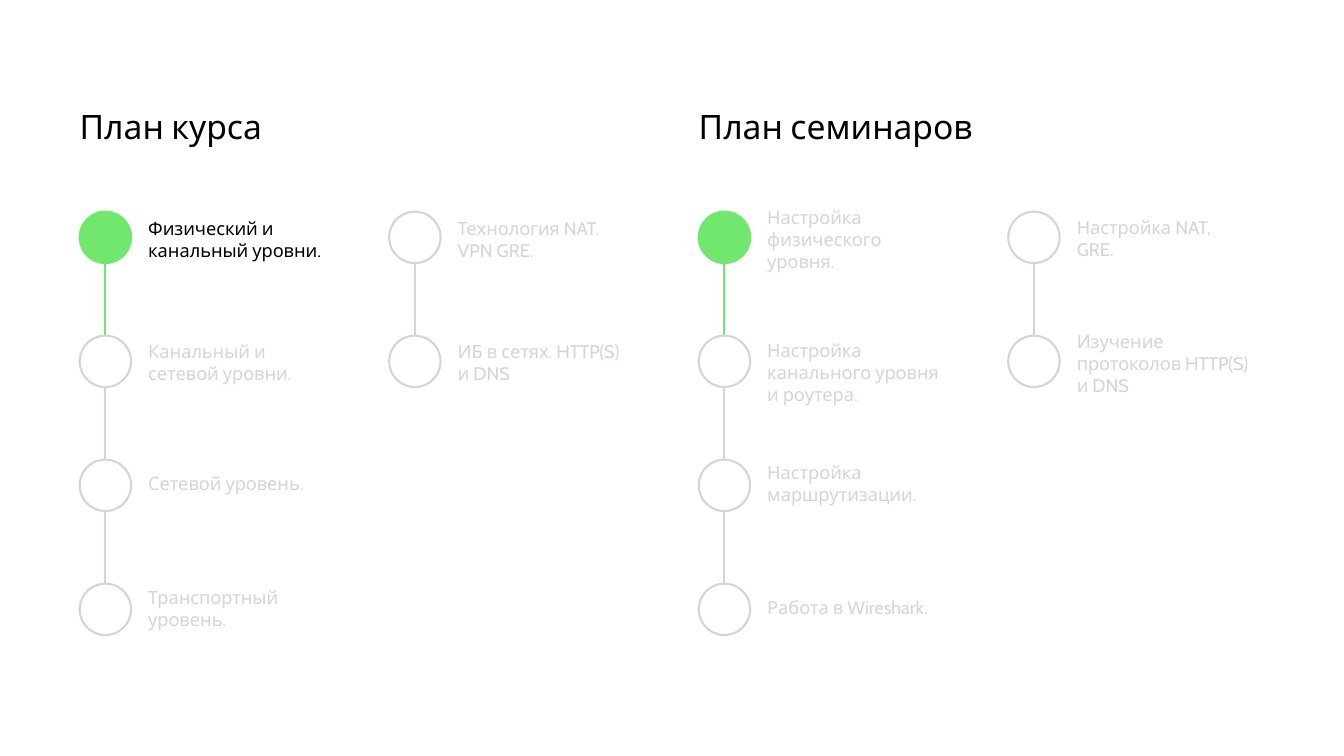
"""Build the course and seminar plan slide."""
from dataclasses import dataclass

from lxml import etree
from pptx import Presentation
from pptx import util as u
from pptx.dml import color
from pptx.enum import shapes, text
from pptx.oxml import ns

FONT = "Cabin"
BLACK, WHITE, GREEN, GREY = "000000", "FFFFFF", "71E76E", "D4D4DD"
LEFT, COLUMN_PITCH = 0.79, 3.07
TOP, ROW_PITCH = 2.1, 1.23
DIAMETER = 0.51
LABEL_OFFSET, LABEL_WIDTH, LABEL_INSET = 0.68, 1.86, 0.13


@dataclass
class Step:
    wording: str
    label_top: float
    label_height: float
    label_color: str = GREY
    current: bool = False


@dataclass
class Heading:
    wording: str
    column: int
    width: float


HEADINGS = [Heading("План курса", 0, 5.23), Heading("План семинаров", 2, 5.79)]

COLUMNS = [
    [
        Step("Физический и канальный уровни.", 2.03, 0.72, BLACK, True),
        Step("Канальный и сетевой уровни.", 3.25, 0.66),
        Step("Сетевой уровень.", 4.56, 0.49),
        Step("Транспортный уровень.", 5.69, 0.49),
    ],
    [
        Step("Технология NAT. VPN GRE.", 2.03, 0.49),
        Step("ИБ в сетях. HTTP(S) и DNS", 3.25, 0.66),
    ],
    [
        Step("Настройка физического уровня.", 1.92, 0.86, GREY, True),
        Step("Настройка канального уровня и роутера.", 3.24, 0.86),
        Step("Настройка маршрутизации.", 4.45, 0.72),
        Step("Работа в Wireshark.", 5.79, 0.49),
    ],
    [
        Step("Настройка NAT, GRE.", 2.02, 0.66),
        Step("Изучение протоколов HTTP(S) и DNS", 3.15, 0.86),
    ],
]


def rgb(value: str) -> color.RGBColor:
    return color.RGBColor.from_string(value)


def column_left(column: int) -> float:
    return LEFT + column * COLUMN_PITCH


def write_text(shape, wording: str, size: float, hex_color: str, inset: float) -> None:
    frame = shape.text_frame
    frame_format = {
        "word_wrap": True,
        "auto_size": text.MSO_AUTO_SIZE.NONE,
        "vertical_anchor": text.MSO_ANCHOR.TOP,
        "margin_left": 0,
        "margin_top": u.Inches(inset),
        "margin_right": u.Inches(inset),
        "margin_bottom": u.Inches(inset),
    }
    for name, value in frame_format.items():
        setattr(frame, name, value)
    paragraph = frame.paragraphs[0]
    paragraph.alignment = text.PP_ALIGN.LEFT
    run = paragraph.add_run()
    run.text = wording
    for name, value in {"name": FONT, "size": u.Pt(size), "bold": False}.items():
        setattr(run.font, name, value)
    run.font.color.rgb = rgb(hex_color)


def draw_heading(slide, heading: Heading) -> None:
    box = {
        "left": u.Inches(column_left(heading.column)),
        "top": u.Inches(1.05),
        "width": u.Inches(heading.width),
        "height": u.Inches(0.47),
    }
    if heading.column == 0:
        shape = slide.shapes.title
        for name, value in box.items():
            setattr(shape, name, value)
    else:
        shape = slide.shapes.add_textbox(*box.values())
    write_text(shape, heading.wording, 24, BLACK, 0)


def draw_link(slide, center: float, top: float, hex_color: str) -> None:
    connector = slide.shapes.add_connector(
        shapes.MSO_CONNECTOR.STRAIGHT,
        u.Inches(center),
        u.Inches(top + DIAMETER),
        u.Inches(center),
        u.Inches(top + ROW_PITCH),
    )
    connector.line.color.rgb = rgb(hex_color)
    connector.line.width = u.Pt(1.5)
    etree.SubElement(connector._element.spPr, ns.qn("a:effectLst"))


def draw_step(slide, step: Step, left: float, top: float) -> None:
    circle = slide.shapes.add_shape(
        shapes.MSO_SHAPE.OVAL,
        u.Inches(left),
        u.Inches(top),
        u.Inches(DIAMETER),
        u.Inches(DIAMETER),
    )
    circle.shadow.inherit = False
    circle.fill.solid()
    circle.fill.fore_color.rgb = rgb(GREEN if step.current else WHITE)
    circle.line.color.rgb = rgb(GREEN if step.current else GREY)
    circle.line.width = u.Pt(1.5)
    label = slide.shapes.add_textbox(
        u.Inches(left + LABEL_OFFSET),
        u.Inches(step.label_top),
        u.Inches(LABEL_WIDTH),
        u.Inches(step.label_height),
    )
    write_text(label, step.wording, 13, step.label_color, LABEL_INSET)


def draw_column(slide, steps: list[Step], left: float) -> None:
    tops = [TOP + row * ROW_PITCH for row in range(len(steps))]
    for step, top in zip(steps[:-1], tops):
        draw_link(slide, left + DIAMETER / 2, top, GREEN if step.current else GREY)
    for step, top in zip(steps, tops):
        draw_step(slide, step, left, top)


def main() -> None:
    presentation = Presentation()
    presentation.slide_width = u.Inches(13.33)
    presentation.slide_height = u.Inches(7.5)
    slide = presentation.slides.add_slide(presentation.slide_layouts[5])
    slide.background.fill.solid()
    slide.background.fill.fore_color.rgb = rgb(WHITE)
    for heading in HEADINGS:
        draw_heading(slide, heading)
    for column, steps in enumerate(COLUMNS):
        draw_column(slide, steps, column_left(column))
    presentation.save("out.pptx")


if __name__ == "__main__":
    main()
